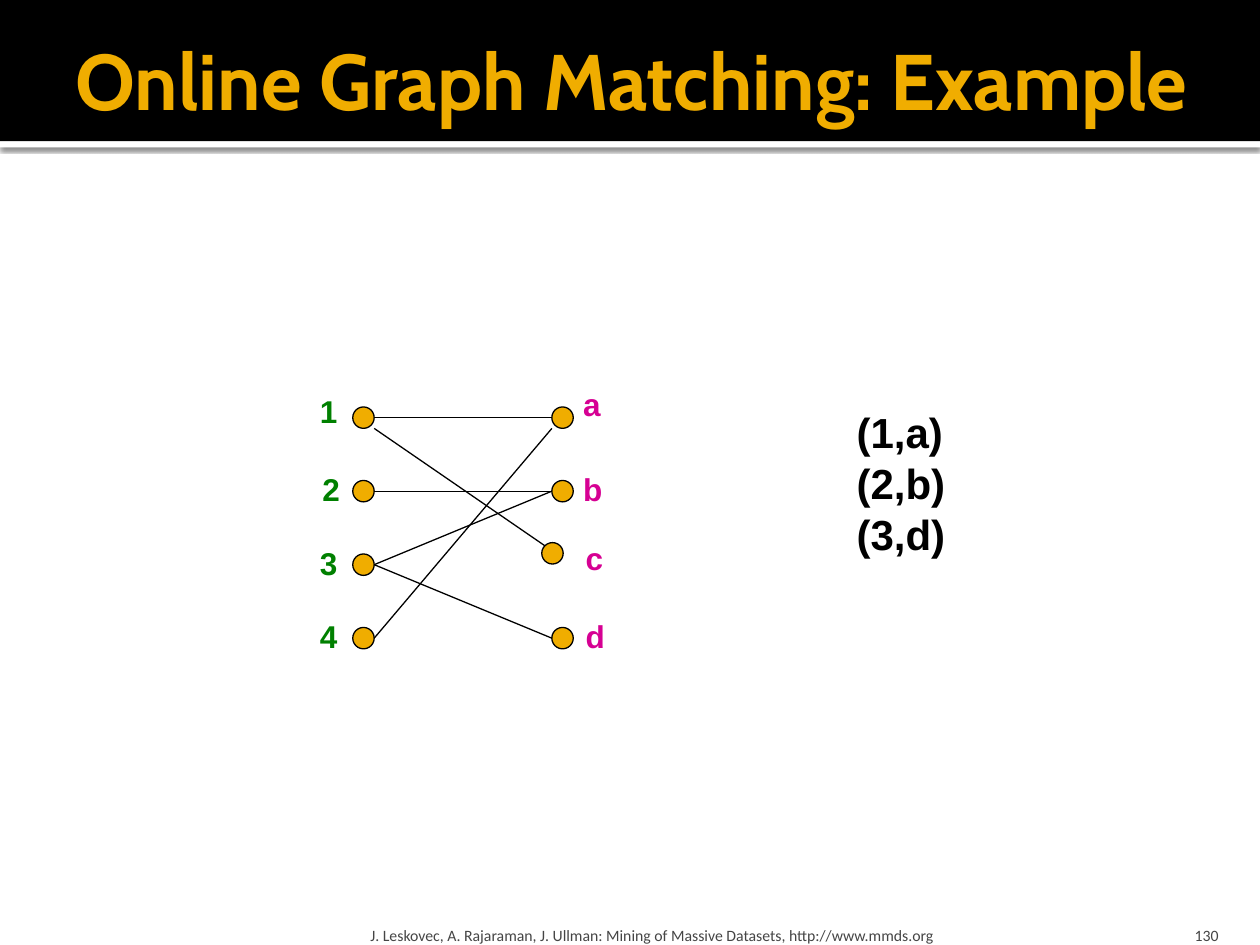
from dataclasses import dataclass

from lxml import etree
from pptx import Presentation
from pptx.dml.color import RGBColor
from pptx.enum.shapes import MSO_CONNECTOR, MSO_SHAPE
from pptx.enum.text import MSO_ANCHOR, PP_ALIGN
from pptx.oxml.ns import qn
from pptx.util import Inches, Pt

RECT, OVAL = MSO_SHAPE.RECTANGLE, MSO_SHAPE.OVAL
STRAIGHT = MSO_CONNECTOR.STRAIGHT
TOP, MIDDLE, BOTTOM = MSO_ANCHOR.TOP, MSO_ANCHOR.MIDDLE, MSO_ANCHOR.BOTTOM
LEFT, RIGHT = PP_ALIGN.LEFT, PP_ALIGN.RIGHT
WIDTH, HEIGHT = 10, 7.5


@dataclass(frozen=True)
class Theme:
    gold: str = "F0AD00"
    black: str = "000000"
    white: str = "FFFFFF"
    gray: str = "454545"
    green: str = "008000"
    pink: str = "D60093"
    title: tuple = ("Cabin", 45, True)
    label: tuple = ("Arial", 18, True)
    pair: tuple = ("Arial", 24, True)
    footer: tuple = ("Calibri", 9, False)
    line: float = 0.75


THEME = Theme()


def add_text(shapes, box, text, style, color, anchor=TOP, align=LEFT,
             wrap=False, insets=(0.1, 0.05, 0.1, 0.05)):
    tf = shapes.add_textbox(*map(Inches, box)).text_frame
    tf.word_wrap = wrap
    tf.vertical_anchor = anchor
    for side, inset in zip(("left", "top", "right", "bottom"), insets):
        setattr(tf, f"margin_{side}", Inches(inset))
    p = tf.paragraphs[0]
    p.alignment = align
    r = p.add_run()
    r.text = text
    name, size, bold = style
    for key, value in {"name": name, "size": Pt(size), "bold": bold}.items():
        setattr(r.font, key, value)
    r.font.color.rgb = RGBColor.from_string(color)


def add_shape(shapes, kind, box, fill, line=None):
    s = shapes.add_shape(kind, *map(Inches, box))
    s.shadow.inherit = False
    s.fill.solid()
    s.fill.fore_color.rgb = RGBColor.from_string(fill)
    if line:
        s.line.color.rgb = RGBColor.from_string(line)
        s.line.width = Pt(THEME.line)
    else:
        s.line.fill.background()
    return s


def add_edge(shapes, start, end):
    s = shapes.add_connector(STRAIGHT, *map(Inches, start + end))
    s.line.color.rgb = RGBColor.from_string(THEME.black)
    s.line.width = Pt(THEME.line)
    etree.SubElement(s._element.spPr, qn("a:effectLst"))


def add_drop_shadow(s):
    effects = s._element.spPr.find(qn("a:effectLst"))
    shadow = etree.SubElement(effects, qn("a:outerShdw"), blurRad=str(Pt(2.5)),
                              dist=str(Pt(0.8)), dir="5400000", algn="t",
                              rotWithShape="0")
    color = etree.SubElement(shadow, qn("a:srgbClr"), val=THEME.black)
    etree.SubElement(color, qn("a:alpha"), val="60000")


def add_header(shapes, box, title):
    x, y, w, h = box
    strip = add_shape(shapes, RECT, (x, y + h, w, 0.05), THEME.white)
    add_drop_shadow(strip)
    add_shape(shapes, RECT, box, THEME.black)
    add_text(shapes, (x + 0.5, y + 0.17, w - 0.5, 0.92), title, THEME.title,
             THEME.gold, MIDDLE, wrap=True, insets=(0.1, 0.05, 0.05, 0.05))


def add_footer(shapes, box, source, number):
    x, y, w, h = box
    add_text(shapes, (x, y, 6.02, h), source, THEME.footer, THEME.gray,
             BOTTOM, wrap=True, insets=(0.05, 0.05, 0.05, 0))
    add_text(shapes, (x + w - 0.8, y, 0.8, h), number, THEME.footer,
             THEME.gray, BOTTOM, RIGHT, True, (0.1, 0.05, 0.1, 0))


def add_bipartite_graph(shapes, box):
    """Nodes stand in two columns at the sides of the box, labels outside."""
    x, y, w, h = box
    size = 0.17
    pitch = (h - size) / 3
    right = x + w - size
    # Name: node corner, then label offset from it and label colour
    nodes = {}
    for row, (name, dx, dy) in enumerate(
            (("1", -0.36, -0.17), ("2", -0.34, -0.13),
             ("3", -0.36, -0.13), ("4", -0.36, -0.13))):
        nodes[name] = (x, y + row * pitch, dx, dy, THEME.green)
    for row, (name, shift, rise, dx, dy) in enumerate(
            (("a", 0, 0, 0.15, -0.22), ("b", 0, 0, 0.15, -0.13),
             ("c", 0.08, 0.09, 0.25, -0.08), ("d", 0, 0, 0.17, -0.13))):
        nodes[name] = (right - shift, y + row * pitch - rise, dx, dy, THEME.pink)

    # Each end gives its node and its place within the node, as shares of its size
    middle_right, middle_left = (1, 0.5), (0, 0.5)
    for a, a_spot, b, b_spot in (
            ("1", middle_right, "a", middle_left),
            ("4", middle_right, "a", (0, 1)),
            ("2", middle_right, "b", middle_left),
            ("3", middle_right, "b", middle_left),
            ("1", (1, 1), "c", (0.15, 0.15)),
            ("3", middle_right, "d", middle_left)):
        ends = [tuple(nodes[name][i] + spot[i] * size for i in (0, 1))
                for name, spot in ((a, a_spot), (b, b_spot))]
        add_edge(shapes, *ends)

    for name, (left, top, dx, dy, color) in nodes.items():
        add_shape(shapes, OVAL, (left, top, size, size), THEME.gold, THEME.black)
        add_text(shapes, (left + dx, top + dy, 0.35, 0.4), name,
                 THEME.label, color)


def add_matching(shapes, box, pairs):
    x, y, w, h = box
    pitch = (h - 0.5) / (len(pairs) - 1)
    for row, pair in enumerate(pairs):
        add_text(shapes, (x, y + row * pitch, w, 0.5), pair, THEME.pair,
                 THEME.black)


def main():
    prs = Presentation()
    prs.slide_width, prs.slide_height = Inches(WIDTH), Inches(HEIGHT)
    shapes = prs.slides.add_slide(prs.slide_layouts[6]).shapes
    add_header(shapes, (0, 0, WIDTH, 1.12), "Online Graph Matching: Example")
    add_footer(shapes, (2.89, HEIGHT - 0.3, 6.88, 0.3),
               "J. Leskovec, A. Rajaraman, J. Ullman: Mining of Massive "
               "Datasets, http://www.mmds.org", "130")
    add_bipartite_graph(shapes, (2.8, 3.23, 1.75, 1.92))
    add_matching(shapes, (6.7, 3.18, 0.91, 1.31), ("(1,a)", "(2,b)", "(3,d)"))
    prs.save("out.pptx")


if __name__ == "__main__":
    main()
